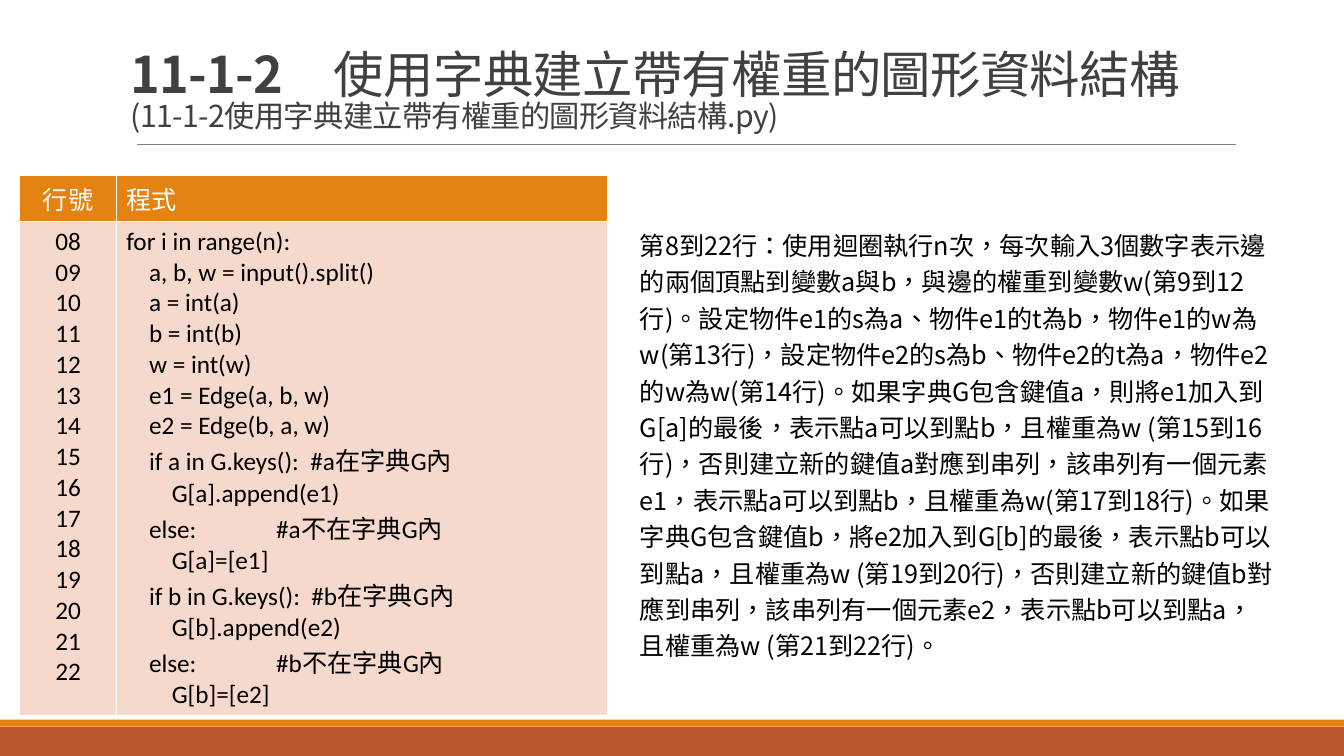
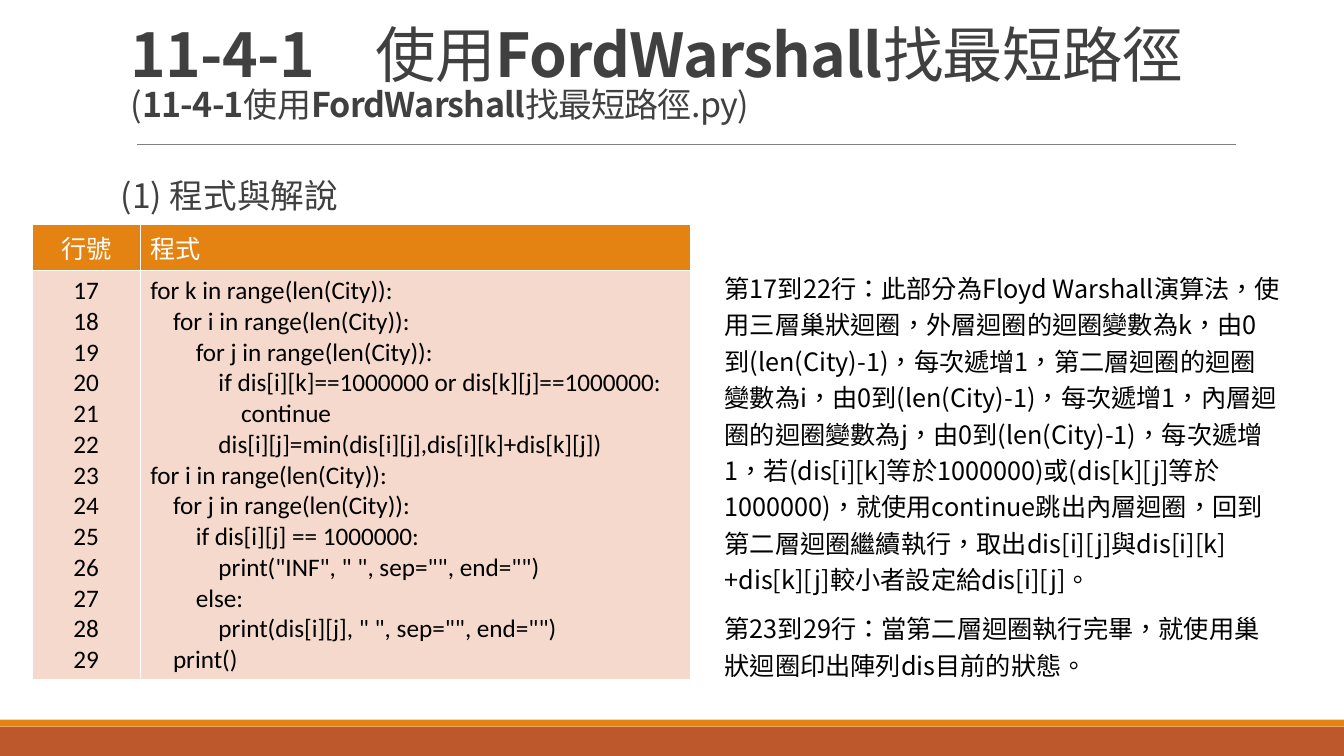
import dataclasses

import pptx
import pptx.dml.color
import pptx.enum.shapes
import pptx.enum.text
import pptx.oxml
import pptx.oxml.ns
import pptx.util

Pt = pptx.util.Pt
ALIGN = pptx.enum.text.PP_ALIGN
ANCHOR = pptx.enum.text.MSO_ANCHOR
SHAPE = pptx.enum.shapes.MSO_SHAPE
LINE = pptx.enum.shapes.MSO_CONNECTOR


@dataclasses.dataclass(frozen=True)
class Theme:
    orange: str = "E48312"
    rust: str = "BD582C"
    peach: str = "F5D9CC"
    rule: str = "808080"
    heading: str = "404040"
    ink: str = "000000"
    white: str = "FFFFFF"
    sans: str = "Noto Sans CJK SC"
    code: str = "Calibri"
    language: str = "zh-TW"
    text_size: float = 18
    section_size: float = 24
    text_leading: float = 26
    title_leading: float = 0.85
    title_tracking: int = -50
    number_share: float = 16.4
    header_height: float = 0.46


@dataclasses.dataclass(frozen=True)
class Box:
    x: float
    y: float
    w: float
    h: float

    def emu(self, prs):
        sizes = (prs.slide_width, prs.slide_height) * 2
        return [round(size * share / 100)
                for size, share in zip(sizes, (self.x, self.y, self.w, self.h))]


THEME = Theme()


def rgb(value):
    return pptx.dml.color.RGBColor.from_string(value)


def add_run(p, text, size, color, font=THEME.sans, bold=False):
    r = p.add_run()
    r.text = text
    r.font.size = Pt(size)
    r.font.name = font
    r.font.bold = bold
    r.font.color.rgb = rgb(color)
    r.font._element.set("lang", THEME.language)
    ea = pptx.oxml.parse_xml(
        f'<a:ea {pptx.oxml.ns.nsdecls("a")} typeface="{THEME.sans}"/>')
    r.font._element.find(pptx.oxml.ns.qn("a:latin")).addnext(ea)
    return r


def paragraphs(tf, count):
    return [tf.paragraphs[0]] + [tf.add_paragraph() for _ in range(count - 1)]


def add_text_frame(prs, slide, box):
    tf = slide.shapes.add_textbox(*box.emu(prs)).text_frame
    tf.word_wrap = True
    return tf


def add_frame(prs, slide):
    for box, color in ((Box(0, 96.13, 100, 3.87), THEME.rust),
                       (Box(0, 95.2, 100, 0.93), THEME.orange)):
        sp = slide.shapes.add_shape(SHAPE.RECTANGLE, *box.emu(prs))
        sp.shadow.inherit = False
        sp.fill.solid()
        sp.fill.fore_color.rgb = rgb(color)
        sp.line.fill.background()
    x, y, w, _ = Box(10.2, 19.07, 81.75, 0).emu(prs)
    rule = slide.shapes.add_connector(LINE.STRAIGHT, x, y, x + w, y)
    rule.line.color.rgb = rgb(THEME.rule)
    rule.line.width = Pt(0.5)
    rule._element.spPr.append(
        pptx.oxml.parse_xml(f'<a:effectLst {pptx.oxml.ns.nsdecls("a")}/>'))


def add_title(prs, slide, box, lines):
    tf = add_text_frame(prs, slide, box)
    tf.vertical_anchor = ANCHOR.BOTTOM
    p = tf.paragraphs[0]
    p.line_spacing = THEME.title_leading
    for i, (size, runs) in enumerate(lines):
        if i:
            p.add_line_break()
        for text, bold in runs:
            r = add_run(p, text, size, THEME.heading, bold=bold)
            r.font._element.set("spc", str(THEME.title_tracking))


def add_section(prs, slide, box, text):
    tf = add_text_frame(prs, slide, box)
    tf.margin_left = tf.margin_right = 0
    add_run(tf.paragraphs[0], text, THEME.section_size, THEME.heading)


def style_cell(cell, fill):
    cell.fill.solid()
    cell.fill.fore_color.rgb = rgb(fill)
    pr = cell._tc.get_or_add_tcPr()
    for i, side in enumerate("LRTB"):
        pr.insert(i, pptx.oxml.parse_xml(
            f'<a:ln{side} {pptx.oxml.ns.nsdecls("a")} w="12700"><a:solidFill>'
            f'<a:srgbClr val="{THEME.white}"/></a:solidFill></a:ln{side}>'))


def add_code_table(prs, slide, box, first, code):
    x, y, w, h = box.emu(prs)
    table = slide.shapes.add_table(2, 2, x, y, w, h).table
    table.horz_banding = False
    number_width = round(w * THEME.number_share / 100)
    header = pptx.util.Inches(THEME.header_height)
    table.columns[0].width, table.columns[1].width = number_width, w - number_width
    table.rows[0].height, table.rows[1].height = header, h - header
    lines = code.strip("\n").split("\n")
    numbers = [f"{n:02}" for n in range(first, first + len(lines))]
    rows = ((["行號"], ["程式"], THEME.orange, THEME.white),
            (numbers, lines, THEME.peach, THEME.ink))
    for i, (left, right, fill, color) in enumerate(rows):
        for j, (texts, align) in enumerate(((left, ALIGN.CENTER), (right, ALIGN.LEFT))):
            cell = table.cell(i, j)
            style_cell(cell, fill)
            for p, text in zip(paragraphs(cell.text_frame, len(texts)), texts):
                p.alignment = align
                add_run(p, text, THEME.text_size, color, THEME.code)


def add_explanation(prs, slide, box, texts):
    tf = add_text_frame(prs, slide, box)
    for i, (p, text) in enumerate(zip(paragraphs(tf, len(texts)), texts)):
        p.line_spacing = Pt(THEME.text_leading)
        p.space_before = Pt(6 if i else 0)
        p.space_after = Pt(3)
        add_run(p, text, THEME.text_size, THEME.ink)


def new_slide(prs):
    slide = prs.slides.add_slide(prs.slide_layouts[6])
    add_frame(prs, slide)
    return slide


GRAPH_CODE = """
for i in range(n):
    a, b, w = input().split()
    a = int(a)
    b = int(b)
    w = int(w)
    e1 = Edge(a, b, w)
    e2 = Edge(b, a, w)
    if a in G.keys():  #a在字典G內
        G[a].append(e1)
    else:              #a不在字典G內
        G[a]=[e1]
    if b in G.keys():  #b在字典G內
        G[b].append(e2)
    else:              #b不在字典G內
        G[b]=[e2]
"""

GRAPH_TEXT = [
    "第8到22行：使用迴圈執行n次，每次輸入3個數字表示邊的兩個頂點到變數a與b，"
    "與邊的權重到變數w(第9到12行)。設定物件e1的s為a、物件e1的t為b，"
    "物件e1的w為w(第13行)，設定物件e2的s為b、物件e2的t為a，物件e2的w為w(第14行)。"
    "如果字典G包含鍵值a，則將e1加入到G[a]的最後，表示點a可以到點b，"
    "且權重為w (第15到16行)，否則建立新的鍵值a對應到串列，該串列有一個元素e1，"
    "表示點a可以到點b，且權重為w(第17到18行)。如果字典G包含鍵值b，"
    "將e2加入到G[b]的最後，表示點b可以到點a，且權重為w (第19到20行)，"
    "否則建立新的鍵值b對應到串列，該串列有一個元素e2，表示點b可以到點a，"
    "且權重為w (第21到22行)。",
]

PATH_CODE = """
for k in range(len(City)):
    for i in range(len(City)):
        for j in range(len(City)):
            if dis[i][k]==1000000 or dis[k][j]==1000000:
                continue
            dis[i][j]=min(dis[i][j],dis[i][k]+dis[k][j])
for i in range(len(City)):
    for j in range(len(City)):
        if dis[i][j] == 1000000:
            print("INF", " ", sep="", end="")
        else:
            print(dis[i][j], " ", sep="", end="")
    print()
"""

PATH_TEXT = [
    "第17到22行：此部分為Floyd Warshall演算法，使用三層巢狀迴圈，"
    "外層迴圈的迴圈變數為k，由0到(len(City)-1)，每次遞增1，"
    "第二層迴圈的迴圈變數為i，由0到(len(City)-1)，每次遞增1，"
    "內層迴圈的迴圈變數為j，由0到(len(City)-1)，每次遞增1，"
    "若(dis[i][k]等於1000000)或(dis[k][j]等於1000000)，就使用continue跳出內層迴圈，"
    "回到第二層迴圈繼續執行，取出dis[i][j]與dis[i][k]+dis[k][j]較小者設定給dis[i][j]。",
    "第23到29行：當第二層迴圈執行完畢，就使用巢狀迴圈印出陣列dis目前的狀態。",
]


def graph_slide(prs):
    slide = new_slide(prs)
    add_title(prs, slide, Box(9, 4, 82.5, 14.4), [
        (36, [("11-1-2　", True), ("使用字典建立帶有權重的圖形資料結構", False)]),
        (21.6, [("(11-1-2使用字典建立帶有權重的圖形資料結構.py)", False)]),
    ])
    add_code_table(prs, slide, Box(1.48, 23.15, 43.73, 71.47), 8, GRAPH_CODE)
    add_explanation(prs, slide, Box(46.88, 29, 48.68, 64), GRAPH_TEXT)


def path_slide(prs):
    slide = new_slide(prs)
    add_title(prs, slide, Box(9, 2.67, 85.58, 14.4), [
        (43.2, [("11-4-1　", True), ("使用", False),
                ("FordWarshall", True), ("找最短路徑", False)]),
        (24.3, [("(", False), ("11-4-1", True), ("使用", False),
                ("FordWarshall", True), ("找最短路徑.py)", False)]),
    ])
    add_section(prs, slide, Box(9, 22.53, 82.5, 8), "(1) 程式與解說")
    add_code_table(prs, slide, Box(2.4, 29.65, 48.98, 60.27), 17, PATH_CODE)
    add_explanation(prs, slide, Box(53.18, 34.7, 42.83, 56), PATH_TEXT)


def main():
    prs = pptx.Presentation()
    prs.slide_width = pptx.util.Inches(13.33)
    prs.slide_height = pptx.util.Inches(7.5)
    graph_slide(prs)
    path_slide(prs)
    prs.save("out.pptx")


if __name__ == "__main__":
    main()
